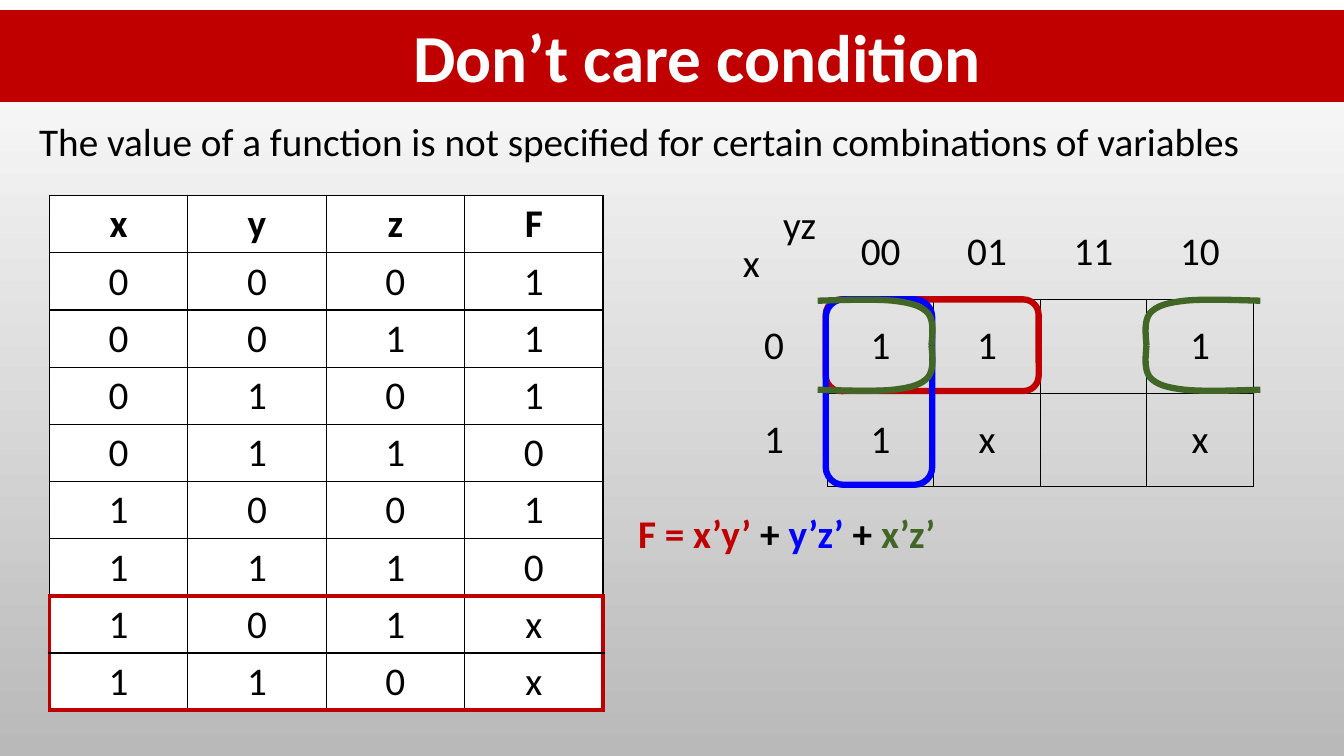
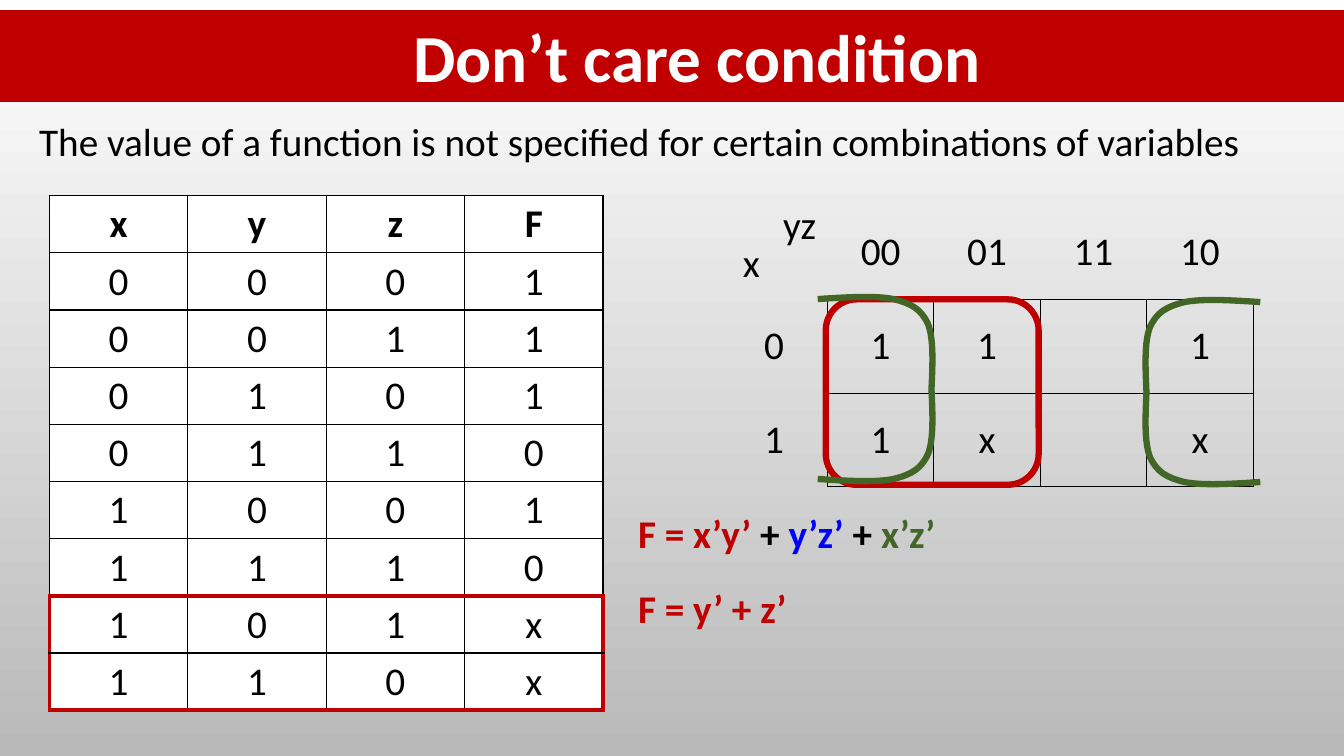
from lxml import etree
from pptx import Presentation
from pptx.dml.color import RGBColor
from pptx.enum import shapes, text
from pptx.oxml.ns import qn
from pptx.util import Inches, Pt

COLOURS = {"red": "C00000", "blue": "0000FF", "green": "426626", "black": "000000",
           "white": "FFFFFF", "grey": "B9B9B9"}
FONT = "Calibri"
WIDTH, HEIGHT = 13.33, 7.5
PLAIN_STYLE = "{2D5ABB26-0587-4C30-8999-92F81FD0307C}"

TITLE = "Don’t care condition"
STATEMENT = "The value of a function is not specified for certain combinations of variables"
TRUTH = ["xyzF", "0001", "0011", "0101", "0110", "1001", "1110", "101x", "110x"]
FIRST_DONT_CARE = 7
KARNAUGH = [["", "00", "01", "11", "10"],
            ["0", "1", "1", "", "1"],
            ["1", "1", "x", "", "x"]]
AXES = [("x", 7.27, 2.32, 0.4), ("yz", 7.67, 1.94, 0.57)]
THREE_TERMS = [("F = x’y’ ", "red"), ("+ ", "black"), ("y’z’ ", "blue"),
               ("+ ", "black"), ("x’z’", "green")]
TWO_TERMS = [("F = y’ + z’", "red")]

SLIDES = [
    {"loops": [("red", 2, 1), ("blue", 1, 2)], "bracket_rows": 1,
     "bracket_lift": 0, "formulas": [THREE_TERMS]},
    {"loops": [("red", 2, 2)], "bracket_rows": 2,
     "bracket_lift": 0.03, "formulas": [THREE_TERMS, TWO_TERMS]},
]

TRUTH_AREA, TRUTH_ROW = (0.49, 1.94, 5.49, 5.1), 0.41
MAP_AREA, MAP_ROW = (7.15, 2.04, 5.28, 2.78), 0.93
CELL_W = MAP_AREA[2] / 5
LOOP_LEFT, LOOP_TOP = 8.19, 2.97
BRACKET_LEFT, BRACKET_RIGHT, REACH = 8.11, 12.5, 1.14
FORMULA_TOP, FORMULA_STEP = 5, 0.75
CURL = [(0, 0.03), (0.25, 0.01), (0.5, -0.01), (0.66, 0.03), (0.82, 0.08),
        (0.9, 0.14), (0.96, 0.3), (1.01, 0.46), (1, 0.73), (0.99, 1)]


def rgb(colour):
    return RGBColor.from_string(COLOURS[colour])


def inches(*lengths):
    return [Inches(length) for length in lengths]


def rows_height(rows):
    return rows * MAP_ROW - 0.02


def style(run, colour="black", size=28, bold=False):
    run.font.name, run.font.size, run.font.bold = FONT, Pt(size), bold
    run.font.color.rgb = rgb(colour)


def add_words(slide, parts, area, wrap=True, bold=False):
    frame = slide.shapes.add_textbox(*inches(*area)).text_frame
    frame.word_wrap = wrap
    for words, colour in parts:
        run = frame.paragraphs[0].add_run()
        run.text = words
        style(run, colour, bold=bold)


def add_title(slide):
    band = slide.shapes.title
    band.left, band.top, band.width, band.height = inches(0, 0.1, WIDTH, 0.91)
    band.fill.solid()
    band.fill.fore_color.rgb = rgb("red")
    frame = band.text_frame
    frame.text = TITLE
    frame.margin_left = Inches(0.6)
    frame.vertical_anchor = text.MSO_ANCHOR.MIDDLE
    frame.paragraphs[0].alignment = text.PP_ALIGN.CENTER
    style(frame.paragraphs[0].runs[0], "white", 48, True)


def set_borders(cell, edges):
    properties = cell._tc.get_or_add_tcPr()
    for place, side in enumerate("LRTB"):
        colour, points = edges.get(side, (None, 0))
        line = etree.Element(qn("a:ln" + side), w=str(Pt(points)))
        if colour:
            fill = etree.SubElement(line, qn("a:solidFill"))
            etree.SubElement(fill, qn("a:srgbClr"), val=COLOURS[colour])
        else:
            etree.SubElement(line, qn("a:noFill"))
        properties.insert(place, line)


def truth_edges(row, column):
    edges = dict.fromkeys("LRTB", ("black", 1))
    last_row, last_column = len(TRUTH) - 1, len(TRUTH[0]) - 1
    dont_care = row >= FIRST_DONT_CARE
    marked = {"L": dont_care and column == 0,
              "R": dont_care and column == last_column,
              "T": row == FIRST_DONT_CARE,
              "B": row in (FIRST_DONT_CARE - 1, last_row)}
    edges.update({side: ("red", 3) for side, on in marked.items() if on})
    return edges


def map_edges(row, column):
    if row and column:
        sides = "LRTB"
    elif row:
        sides = "R"
    else:
        sides = "B" if column else ""
    return dict.fromkeys(sides, ("black", 1))


def add_grid(slide, rows, area, row_height, edges, fill=None, bold_header=False):
    holder = slide.shapes.add_table(len(rows), len(rows[0]), *inches(*area))
    table = holder.table
    table.first_row = table.horz_banding = False
    table._tbl.tblPr.find(qn("a:tableStyleId")).text = PLAIN_STYLE
    for r, row in enumerate(rows):
        table.rows[r].height = Inches(row_height)
        for c, value in enumerate(row):
            cell = table.cell(r, c)
            cell.vertical_anchor = text.MSO_ANCHOR.MIDDLE
            if fill:
                cell.fill.solid()
                cell.fill.fore_color.rgb = rgb(fill)
            else:
                cell.fill.background()
            set_borders(cell, edges(r, c))
            if value:
                cell.text_frame.text = value
                paragraph = cell.text_frame.paragraphs[0]
                paragraph.alignment = text.PP_ALIGN.CENTER
                style(paragraph.runs[0], bold=bold_header and r == 0)
    holder.height = Inches(area[3])


def outline(shape, colour):
    shape.shadow.inherit = False
    shape.fill.background()
    shape.line.color.rgb = rgb(colour)
    shape.line.width = Pt(4.5)


def add_loop(slide, colour, columns, rows):
    area = inches(LOOP_LEFT, LOOP_TOP, columns * CELL_W, rows_height(rows))
    outline(slide.shapes.add_shape(shapes.MSO_SHAPE.ROUNDED_RECTANGLE, *area), colour)


def bend(shape):
    corners = list(shape._element.iter(qn("a:lnTo")))
    for first in range(0, len(corners), 3):
        curve = etree.Element(qn("a:cubicBezTo"))
        corners[first].addprevious(curve)
        for corner in corners[first:first + 3]:
            curve.append(corner[0])
            corner.getparent().remove(corner)


def add_bracket(slide, start, direction, top, height):
    halves = slide.shapes.add_group_shape().shapes
    for edge, inward in ((top, 1), (top + height, -1)):
        points = [inches(start + direction * REACH * x, edge + inward * height / 2 * y)
                  for x, y in CURL]
        builder = halves.build_freeform(*points[0])
        builder.add_line_segments(points[1:], close=False)
        half = builder.convert_to_shape()
        bend(half)
        outline(half, "green")


def build_slide(deck, content):
    slide = deck.slides.add_slide(deck.slide_layouts[5])
    backdrop = slide.background.fill
    backdrop.gradient()
    backdrop.gradient_angle = 270
    for stop, colour in zip(backdrop.gradient_stops, ("white", "grey")):
        stop.color.rgb = rgb(colour)
    add_title(slide)
    add_words(slide, [(STATEMENT, "black")], (0.29, 1.11, 12.73, 0.57))
    add_grid(slide, TRUTH, TRUTH_AREA, TRUTH_ROW, truth_edges, "white", True)
    add_grid(slide, KARNAUGH, MAP_AREA, MAP_ROW, map_edges)
    for variable, left, top, width in AXES:
        add_words(slide, [(variable, "black")], (left, top, width, 0.57), wrap=False)
    for loop in content["loops"]:
        add_loop(slide, *loop)
    height = rows_height(content["bracket_rows"])
    add_bracket(slide, BRACKET_LEFT, 1, LOOP_TOP - content["bracket_lift"], height)
    add_bracket(slide, BRACKET_RIGHT, -1, LOOP_TOP, height)
    for place, formula in enumerate(content["formulas"]):
        add_words(slide, formula, (6.23, FORMULA_TOP + place * FORMULA_STEP, 5.15, 0.57), bold=True)


def main():
    deck = Presentation()
    deck.slide_width, deck.slide_height = inches(WIDTH, HEIGHT)
    for content in SLIDES:
        build_slide(deck, content)
    deck.save("out.pptx")


if __name__ == "__main__":
    main()
